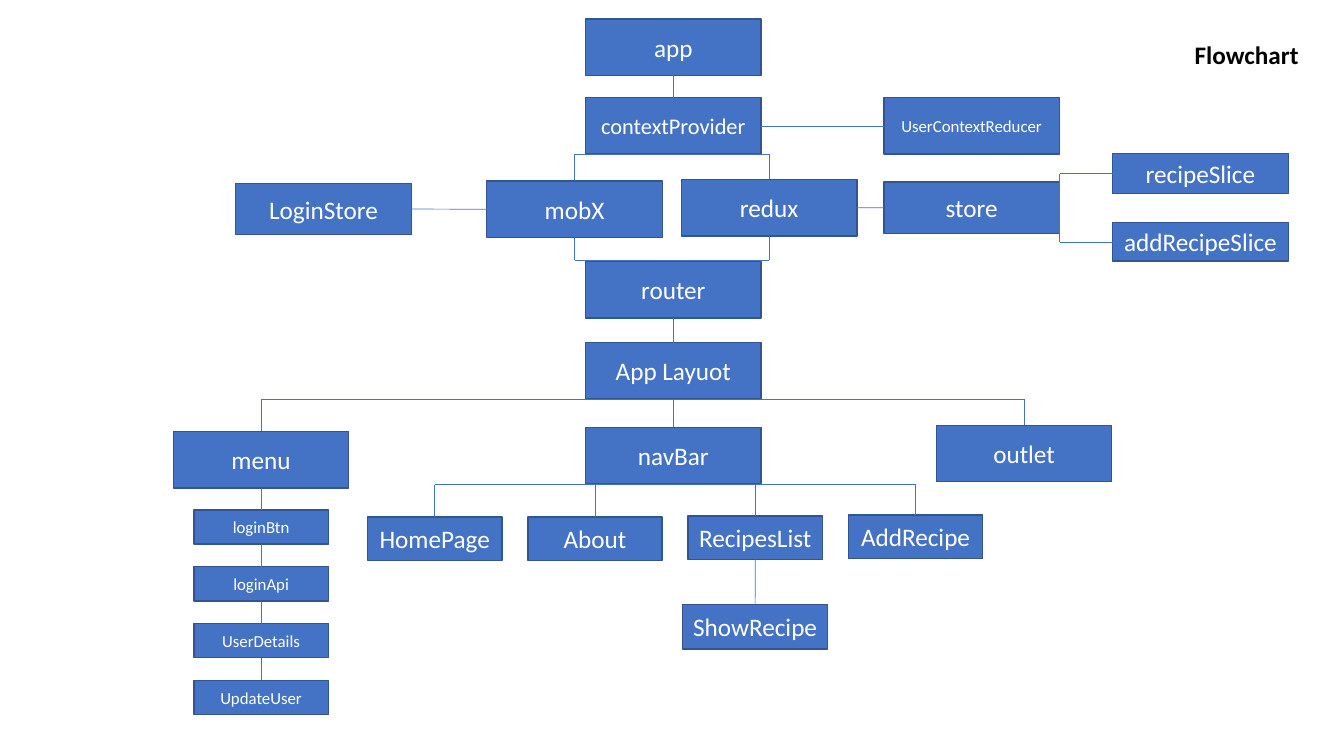
import pptx
import pptx.dml.color
import pptx.enum.shapes
import pptx.enum.text
import pptx.oxml
import pptx.oxml.ns
import pptx.util

Pt = pptx.util.Pt
RGBColor = pptx.dml.color.RGBColor
ALIGN = pptx.enum.text.PP_ALIGN
ANCHOR = pptx.enum.text.MSO_ANCHOR

BLUE = RGBColor(0x44, 0x72, 0xC4)
DARK_BLUE = RGBColor(0x32, 0x54, 0x91)
WHITE = RGBColor(0xFF, 0xFF, 0xFF)
BLACK = RGBColor(0x00, 0x00, 0x00)

TOP, LEFT, BOTTOM, RIGHT = range(4)
NODE_FRAME = {
    "word_wrap": True,
    "vertical_anchor": ANCHOR.MIDDLE,
    "margin_left": Pt(3.6),
    "margin_right": Pt(3.6),
}
TITLE_FRAME = {"word_wrap": True, "vertical_anchor": ANCHOR.TOP}

CENTRE = 481
MENU_CENTRE = 186.5
LARGE = (125.4, 40.3)
STORE = (125.4, 36.7)
PAGE = (96, 31)
MENU_ITEM = (96, 24.5)

NODES = [
    ("app", CENTRE, 13.5, LARGE, 18),
    ("contextProvider", CENTRE, 69.8, LARGE, 16),
    ("UserContextReducer", 694.1, 69.8, LARGE, 12),
    ("mobX", 410.4, 129.3, LARGE, 18),
    ("redux", 549.4, 128.2, LARGE, 18),
    ("LoginStore", 231.1, 131, STORE, 18),
    ("store", 694.1, 130.1, STORE, 18),
    ("recipeSlice", 857.5, 109.5, (125.4, 28.9), 18),
    ("addRecipeSlice", 857.5, 159, (125.4, 27.6), 18),
    ("router", CENTRE, 186.8, LARGE, 18),
    ("App Layuot", CENTRE, 244.8, LARGE, 18),
    ("menu", MENU_CENTRE, 308.2, LARGE, 18),
    ("navBar", CENTRE, 305.3, LARGE, 18),
    ("outlet", 731.5, 303.8, LARGE, 18),
    ("ShowRecipe", 539.4, 431.7, (103.7, 31.9), 18),
]
MENU_ITEMS = ["loginBtn", "loginApi", "UserDetails", "UpdateUser"]
PAGES = [("HomePage", 369.4), ("About", 369.4), ("RecipesList", 368.6), ("AddRecipe", 368)]

JOINS = [
    ("app", BOTTOM, "contextProvider", TOP),
    ("contextProvider", RIGHT, "UserContextReducer", LEFT),
    ("mobX", LEFT, "LoginStore", RIGHT),
    ("redux", RIGHT, "store", LEFT),
    ("router", BOTTOM, "App Layuot", TOP),
    ("App Layuot", BOTTOM, "navBar", TOP),
    ("RecipesList", BOTTOM, "ShowRecipe", TOP),
]
RAILS = [
    (110, ["mobX", "redux"], TOP),
    (186, ["mobX", "redux"], BOTTOM),
    (285.1, ["menu", "outlet"], TOP),
    (346.1, [page for page, _ in PAGES], TOP),
    (756.8, ["recipeSlice", "addRecipeSlice"], LEFT),
]


def apply_format(target, values):
    for attribute, value in values.items():
        setattr(target, attribute, value)


def write(shape, text, frame_format, alignment, font_format, color):
    frame = shape.text_frame
    apply_format(frame, frame_format)
    paragraph = frame.paragraphs[0]
    paragraph.alignment = alignment
    run = paragraph.add_run()
    run.text = text
    apply_format(run.font, {"name": "Calibri", **font_format})
    run.font.color.rgb = color


def add_node(slide, label, centre, top, size, font_size):
    width, height = size
    node = slide.shapes.add_shape(
        pptx.enum.shapes.MSO_SHAPE.RECTANGLE,
        Pt(centre - width / 2), Pt(top), Pt(width), Pt(height),
    )
    node.shadow.inherit = False
    node.fill.solid()
    node.fill.fore_color.rgb = BLUE
    node.line.color.rgb = DARK_BLUE
    node.line.width = Pt(1)
    write(node, label, NODE_FRAME, ALIGN.CENTER, {"size": Pt(font_size)}, WHITE)
    return node


def add_line(slide, start=(0, 0), end=(0, 0)):
    line = slide.shapes.add_connector(
        pptx.enum.shapes.MSO_CONNECTOR.STRAIGHT, *start, *end
    )
    line.line.color.rgb = BLUE
    line.line.width = Pt(0.5)
    properties = line._element.spPr
    properties.append(pptx.oxml.parse_xml(
        "<a:effectLst %s/>" % pptx.oxml.ns.nsdecls("a")
    ))
    return line


def join(slide, parent, parent_side, child, child_side):
    line = add_line(slide)
    line.begin_connect(parent, parent_side)
    line.end_connect(child, child_side)


def add_rail(slide, position, children, side):
    ends = []
    for child in children:
        if side == LEFT:
            end = (Pt(position), child.top + child.height // 2)
        else:
            end = (child.left + child.width // 2, Pt(position))
        add_line(slide, end, end).end_connect(child, side)
        ends.append(end)
    add_line(slide, ends[0], ends[-1])


def add_title(slide, text):
    title = slide.shapes.add_textbox(Pt(777), Pt(24.5), Pt(157.7), Pt(29))
    write(title, text, TITLE_FRAME, ALIGN.RIGHT, {"size": Pt(18), "bold": True}, BLACK)


def main():
    deck = pptx.Presentation()
    apply_format(deck, {"slide_width": Pt(960), "slide_height": Pt(540)})
    slide = deck.slides.add_slide(deck.slide_layouts[6])

    entries = NODES + [
        (item, MENU_CENTRE, 364.2 + 40.6 * row, MENU_ITEM, 12)
        for row, item in enumerate(MENU_ITEMS)
    ] + [
        (page, 310.5 + 114.5 * column, top, PAGE, 18)
        for column, (page, top) in enumerate(PAGES)
    ]
    nodes = {entry[0]: add_node(slide, *entry) for entry in entries}

    menu_joins = [
        (upper, BOTTOM, lower, TOP)
        for upper, lower in zip(["menu"] + MENU_ITEMS, MENU_ITEMS)
    ]
    for parent, parent_side, child, child_side in JOINS + menu_joins:
        join(slide, nodes[parent], parent_side, nodes[child], child_side)
    for position, children, side in RAILS:
        add_rail(slide, position, [nodes[child] for child in children], side)

    add_title(slide, "Flowchart")
    deck.save("out.pptx")


if __name__ == "__main__":
    main()
